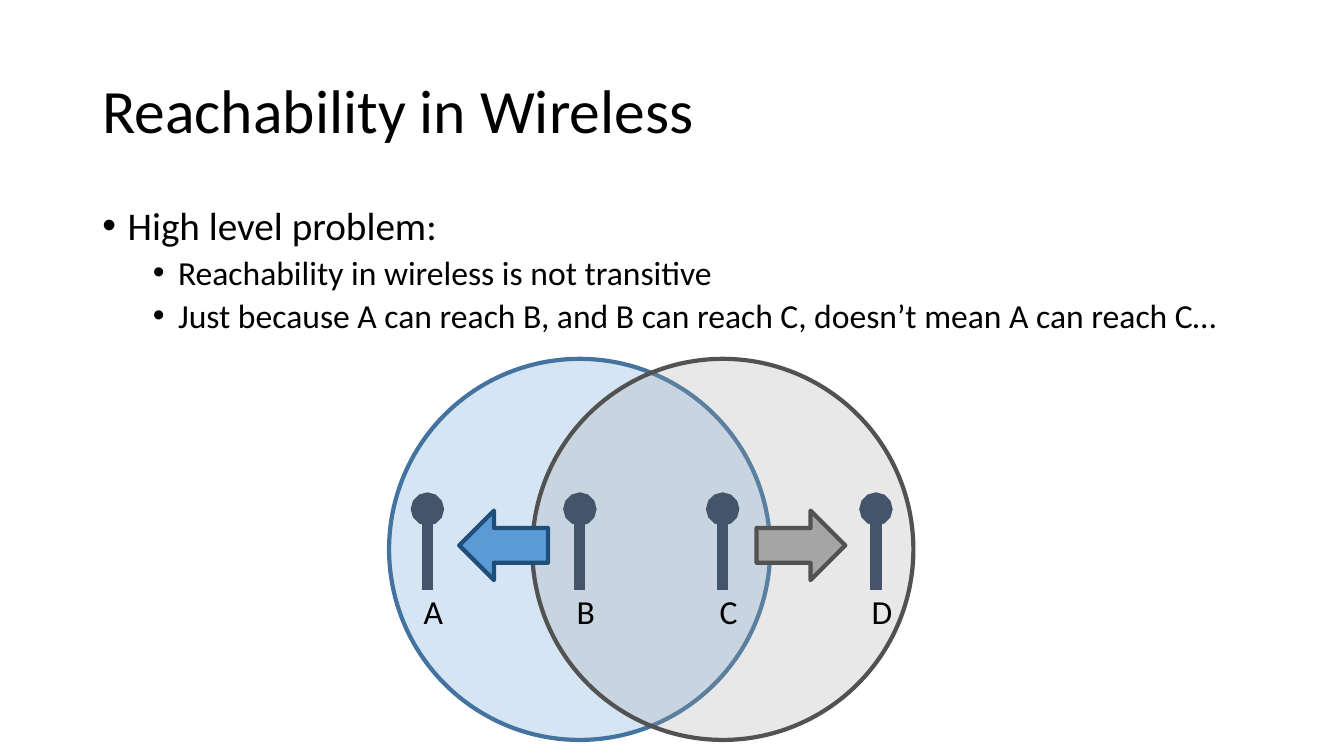
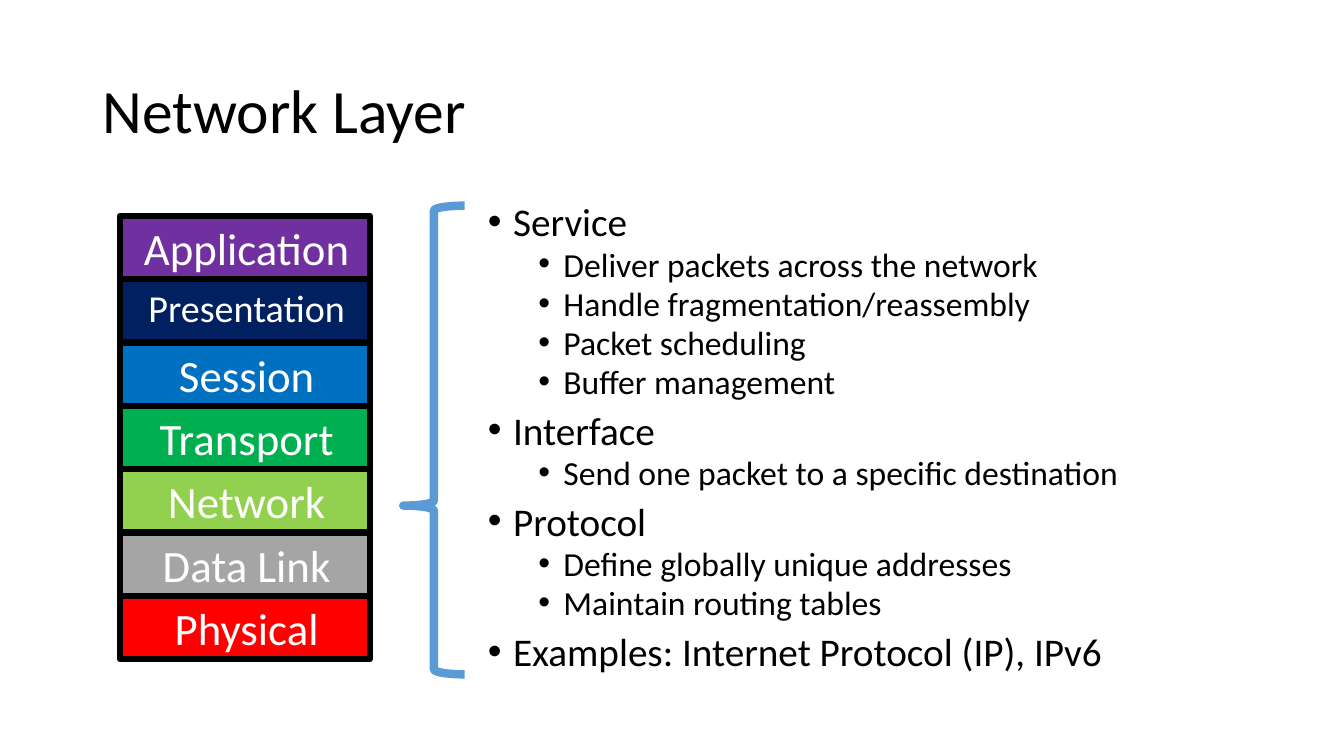
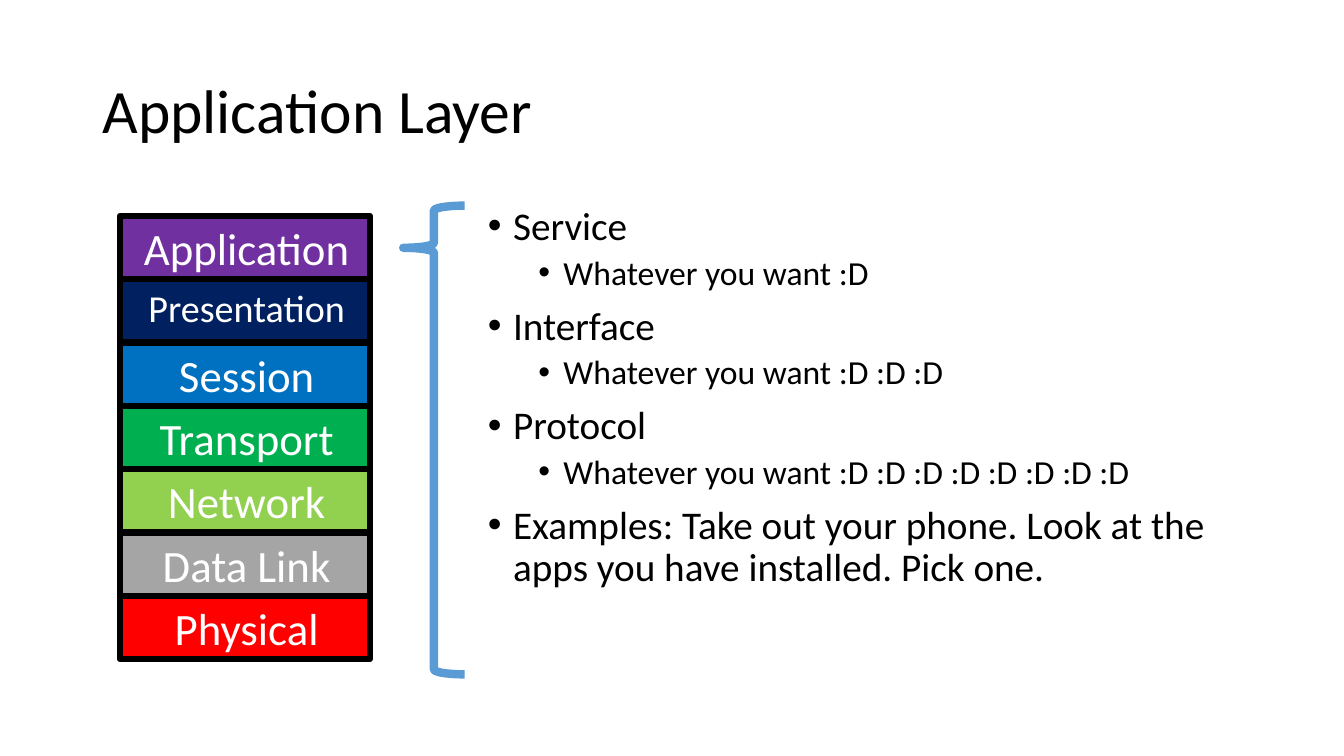
"""Build three lecture slides on wireless reachability and network layers."""
from dataclasses import dataclass

from lxml.etree import SubElement
from pptx import Presentation
from pptx.dml.color import RGBColor
from pptx.enum.shapes import MSO_CONNECTOR as CONN, MSO_SHAPE as SHAPE
from pptx.enum.text import MSO_ANCHOR as ANCHOR, MSO_AUTO_SIZE as AUTOSIZE, PP_ALIGN as ALIGN
from pptx.oxml.ns import qn
from pptx.util import Pt


@dataclass(frozen=True)
class Theme:
    font: str = "Calibri"
    text: str = "000000"
    white: str = "FFFFFF"
    blue: str = "5B9BD5"
    blue_edge: str = "43739E"
    blue_dark: str = "1F4E79"
    gray: str = "A5A5A5"
    gray_edge: str = "525252"
    antenna: str = "44546A"
    title_size: float = 44
    list_sizes: tuple = (28, 24)
    label_size: float = 24
    layer_size: float = 32
    small_layer_size: float = 27.2


T = Theme()
TITLE_BOX = (66, 28.8, 828, 104.4)
WIDE_BODY = (66, 144, 828, 342.7)
SIDE_BODY = (341.3, 144, 552.7, 342.7)
LIST_INDENTS = (18, 54)
LIST_GAPS = (10, 5)
HANGING = 18

LAYERS = (
    ("Application", "7030A0", T.layer_size),
    ("Presentation", "002060", T.small_layer_size),
    ("Session", "0070C0", T.layer_size),
    ("Transport", "00B050", T.layer_size),
    ("Network", "92D050", T.layer_size),
    ("Data Link", T.gray, T.layer_size),
    ("Physical", "FF0000", T.layer_size),
)


def pts(*lengths):
    """Turn numbers into point lengths."""
    return [Pt(n) for n in lengths]


def rgb(color):
    """Turn a hex string into a colour."""
    return RGBColor.from_string(color)


def add_run(p, text, size, color=T.text):
    """Add a run in the theme font."""
    r = p.add_run()
    r.text = text
    r.font.name = T.font
    r.font.size = Pt(size)
    r.font.color.rgb = rgb(color)


def place(sp, box):
    """Move a placeholder to a box and fix its text size."""
    sp.left, sp.top, sp.width, sp.height = pts(*box)
    sp.text_frame.auto_size = AUTOSIZE.NONE
    sp.text_frame.word_wrap = True
    return sp.text_frame


def add_bullet(p, level, text, spacing):
    """Format a paragraph as a list item of the given level."""
    p.level = level
    p.line_spacing = spacing
    p.space_before = Pt(LIST_GAPS[level])
    p.space_after = Pt(0)
    pPr = p._p.get_or_add_pPr()
    pPr.set("marL", str(Pt(LIST_INDENTS[level])))
    pPr.set("indent", str(-Pt(HANGING)))
    SubElement(pPr, qn("a:buFont")).set("typeface", "Arial")
    SubElement(pPr, qn("a:buChar")).set("char", "•")
    add_run(p, text, T.list_sizes[level])


def add_slide(prs, title, body_box, items, spacing=0.9):
    """Add a slide with a title and a two-level list."""
    slide = prs.slides.add_slide(prs.slide_layouts[1])
    tf = place(slide.shapes.title, TITLE_BOX)
    tf.vertical_anchor = ANCHOR.MIDDLE
    p = tf.paragraphs[0]
    p.alignment = ALIGN.LEFT
    p.line_spacing = 0.9
    add_run(p, title, T.title_size)
    tf = place(slide.placeholders[1], body_box)
    for i, (level, text) in enumerate(items):
        p = tf.add_paragraph() if i else tf.paragraphs[0]
        add_bullet(p, level, text, spacing)
    return slide


def add_shape(slide, kind, box, fill, line, width, alpha=None):
    """Add a preset shape with a plain fill and outline."""
    sp = slide.shapes.add_shape(kind, *pts(*box))
    sp.shadow.inherit = False
    sp.line.color.rgb = rgb(line)
    sp.line.width = Pt(width)
    if fill is None:
        sp.fill.background()
        return sp
    sp.fill.solid()
    sp.fill.fore_color.rgb = rgb(fill)
    if alpha is not None:
        color = sp.element.spPr.find(qn("a:solidFill"))[0]
        SubElement(color, qn("a:alpha")).set("val", str(alpha * 1000))
    return sp


def add_antenna(slide, name, x):
    """Add a round-topped antenna with its letter below."""
    group = slide.shapes.add_group_shape()
    mast = group.shapes.add_connector(CONN.STRAIGHT, *pts(x, 363.6, x, 421.2))
    mast.line.color.rgb = rgb(T.antenna)
    mast.line.width = Pt(8)
    spPr = mast.element.spPr
    SubElement(spPr.find(qn("a:ln")), qn("a:headEnd")).set("type", "oval")
    SubElement(spPr, qn("a:effectLst"))
    label = group.shapes.add_textbox(*pts(x - 15.8, 418.3, 40, 36))
    tf = label.text_frame
    tf.word_wrap = False
    p = tf.paragraphs[0]
    p.alignment = ALIGN.CENTER
    add_run(p, name, T.label_size)


def add_layer_stack(slide, brace_point):
    """Add the seven layers and a brace pointing at one of them."""
    left, top, width, height = 85.7, 154.1, 178.5, 45.25
    for i, (name, color, size) in enumerate(LAYERS):
        box = (left, top + i * height, width, height)
        sp = add_shape(slide, SHAPE.RECTANGLE, box, color, T.text, 4.5)
        tf = sp.text_frame
        tf.word_wrap = True
        tf.vertical_anchor = ANCHOR.TOP
        tf.margin_left = Pt(9.6)
        p = tf.paragraphs[0]
        p.alignment = ALIGN.CENTER
        add_run(p, name, size, T.white)
    brace = add_shape(slide, SHAPE.LEFT_BRACE, (288, 146.9, 43.9, 334.8), None, T.blue, 6)
    brace.adjustments[0] = 0.08
    brace.adjustments[1] = brace_point


def add_reachability(prs):
    """Add the slide on wireless reachability."""
    slide = add_slide(prs, "Reachability in Wireless", WIDE_BODY, (
        (0, "High level problem:"),
        (1, "Reachability in wireless is not transitive"),
        (1, "Just because A can reach B, and B can reach C, doesn’t mean A can reach C…"),
    ))
    for x, fill, line in ((277.9, T.blue, T.blue_edge), (380.2, T.gray, T.gray_edge)):
        add_shape(slide, SHAPE.OVAL, (x, 256.3, 272.2, 272.2), fill, line, 3, alpha=25)
    for kind, x, fill, line in (
        (SHAPE.LEFT_ARROW, 328, T.blue, T.blue_dark),
        (SHAPE.RIGHT_ARROW, 540.4, T.gray, T.gray_edge),
    ):
        add_shape(slide, kind, (x, 364.7, 63.4, 49.7), fill, line, 3)
    for name, x in (("A", 305.3), ("B", 414.2), ("C", 516.2), ("D", 625.7)):
        add_antenna(slide, name, x)


def add_network_layer(prs):
    """Add the slide on the network layer."""
    slide = add_slide(prs, "Network Layer", SIDE_BODY, (
        (0, "Service"),
        (1, "Deliver packets across the network"),
        (1, "Handle fragmentation/reassembly"),
        (1, "Packet scheduling"),
        (1, "Buffer management"),
        (0, "Interface"),
        (1, "Send one packet to a specific destination"),
        (0, "Protocol"),
        (1, "Define globally unique addresses"),
        (1, "Maintain routing tables"),
        (0, "Examples: Internet Protocol (IP), IPv6"),
    ), spacing=0.8)
    add_layer_stack(slide, 0.64)


def add_application_layer(prs):
    """Add the slide on the application layer."""
    slide = add_slide(prs, "Application Layer", SIDE_BODY, (
        (0, "Service"),
        (1, "Whatever you want :D"),
        (0, "Interface"),
        (1, "Whatever you want :D :D :D"),
        (0, "Protocol"),
        (1, "Whatever you want :D :D :D :D :D :D :D :D"),
        (0, "Examples: Take out your phone. Look at the apps you have installed. Pick one."),
    ))
    add_layer_stack(slide, 0.09)


def main():
    """Build and save the presentation."""
    prs = Presentation()
    prs.slide_width, prs.slide_height = pts(960, 540)
    add_reachability(prs)
    add_network_layer(prs)
    add_application_layer(prs)
    prs.save("out.pptx")


if __name__ == "__main__":
    main()
